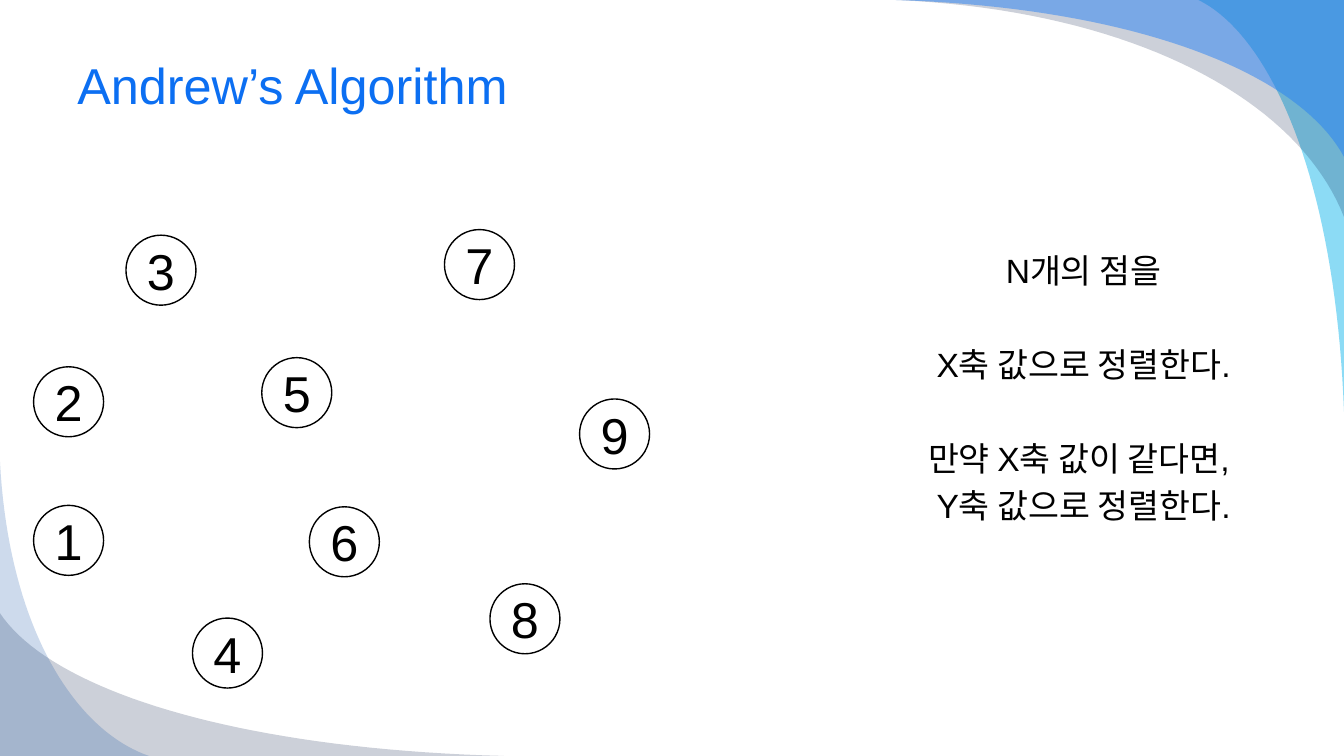
from lxml.etree import SubElement
from pptx import Presentation
from pptx.dml.color import RGBColor
from pptx.enum.shapes import MSO_SHAPE
from pptx.enum.text import MSO_ANCHOR, MSO_AUTO_SIZE, PP_ALIGN
from pptx.oxml.ns import qn
from pptx.util import Pt

BLACK = RGBColor(0, 0, 0)
WHITE = RGBColor(255, 255, 255)
BLUE = RGBColor(0x0C, 0x6F, 0xF2)
CYAN = RGBColor(0x00, 0xB1, 0xE9)
NAVY = RGBColor(0x02, 0x17, 0x41)
SKY = RGBColor(0x24, 0x7F, 0xF4)
DEEP = RGBColor(0x08, 0x4A, 0xA1)

# Bezier handles as shares of the way from start to end
FLAT = (0.54, 0.05), (0.9, 0.47)
STEEP = (0.49, 0.085), (0.94, 0.43)
STEPS = 40

# start, end, handles, colour, opacity in percent
WAVES = [
    ((856, 0), (960, 294), STEEP, CYAN, 45),
    ((640, 0), (960, 155), FLAT, NAVY, 20),
    ((640, 0), (960, 112), FLAT, SKY, 49),
    ((360, 540), (0, 438), FLAT, NAVY, 20),
    ((106.5, 540), (0, 330), STEEP, DEEP, 20),
]

# left and top of the points, in sorted order
POINTS = [
    (24, 361), (24, 262), (90, 168), (137.5, 441.5), (187, 255.5),
    (221, 362), (317.5, 164), (350, 417), (414, 285),
]

# text and space before
NOTES = [
    ("N개의 점을", 0),
    ("X축 값으로 정렬한다.", 38.4),
    ("만약 X축 값이 같다면, ", 38.4),
    ("Y축 값으로 정렬한다.", 4.8),
]


def bezier(handles, t):
    """Return the point at t on a curve from (0, 0) to (1, 1)."""
    first, second = handles
    return [3 * (1 - t) ** 2 * t * a + 3 * (1 - t) * t ** 2 * b + t ** 3
            for a, b in zip(first, second)]


class Page:
    font = "Arial"
    big = 36
    small = 24
    dot = 50

    def __init__(self, slide):
        self.slide = slide
        self.shapes = slide.shapes

    def style(self, par, size, color, align):
        par.alignment = align
        for run in par.runs:
            run.font.name = self.font
            run.font.size = Pt(size)
            run.font.color.rgb = color

    def wave(self, start, end, handles, color, alpha):
        """Fill the corner between the page edges and a curve."""
        (x, y), (right, low) = start, end
        curve = [bezier(handles, i / STEPS) for i in range(1, STEPS + 1)]
        spots = [(Pt(x + u * (right - x)), Pt(y + v * (low - y)))
                 for u, v in curve]
        path = self.shapes.build_freeform(Pt(x), Pt(y))
        path.add_line_segments(spots + [(Pt(right), Pt(y))], close=True)
        shape = path.convert_to_shape()
        shape.shadow.inherit = False
        shape.fill.solid()
        shape.fill.fore_color.rgb = color
        shape.line.fill.background()
        tint = next(shape.element.iter(qn("a:srgbClr")))
        SubElement(tint, qn("a:alpha")).set("val", str(alpha * 1000))

    def title(self, text, left, top, width, height):
        shape = self.shapes.title
        shape.left, shape.top = Pt(left), Pt(top)
        shape.width, shape.height = Pt(width), Pt(height)
        frame = shape.text_frame
        frame.text = text
        frame.auto_size = MSO_AUTO_SIZE.NONE
        frame.vertical_anchor = MSO_ANCHOR.MIDDLE
        self.style(frame.paragraphs[0], self.big, BLUE, PP_ALIGN.LEFT)
        # Bring the title in front of the waves
        shape.element.getparent().append(shape.element)

    def notes(self, lines, left, top, width, height):
        box = self.shapes.add_textbox(Pt(left), Pt(top), Pt(width), Pt(height))
        frame = box.text_frame
        frame.word_wrap = True
        frame.margin_top = frame.margin_bottom = 0
        frame.text = "\n".join(text for text, gap in lines)
        for par, (text, gap) in zip(frame.paragraphs, lines):
            par.space_before = Pt(gap)
            self.style(par, self.small, BLACK, PP_ALIGN.CENTER)

    def point(self, label, left, top):
        shape = self.shapes.add_shape(
            MSO_SHAPE.OVAL, Pt(left), Pt(top), Pt(self.dot), Pt(self.dot))
        shape.shadow.inherit = False
        shape.fill.solid()
        shape.fill.fore_color.rgb = WHITE
        shape.line.color.rgb = BLACK
        shape.line.width = Pt(1)
        frame = shape.text_frame
        frame.text = label
        frame.vertical_anchor = MSO_ANCHOR.MIDDLE
        self.style(frame.paragraphs[0], self.big, BLACK, PP_ALIGN.CENTER)


def main():
    deck = Presentation()
    deck.slide_width, deck.slide_height = Pt(960), Pt(540)
    page = Page(deck.slides.add_slide(deck.slide_layouts[5]))
    for wave in WAVES:
        page.wave(*wave)
    page.title("Andrew’s Algorithm", 48, 24, 864, 73)
    page.notes(NOTES, 610.5, 178.5, 327, 304)
    for rank, (left, top) in enumerate(POINTS, 1):
        page.point(str(rank), left, top)
    deck.save("out.pptx")


if __name__ == "__main__":
    main()
